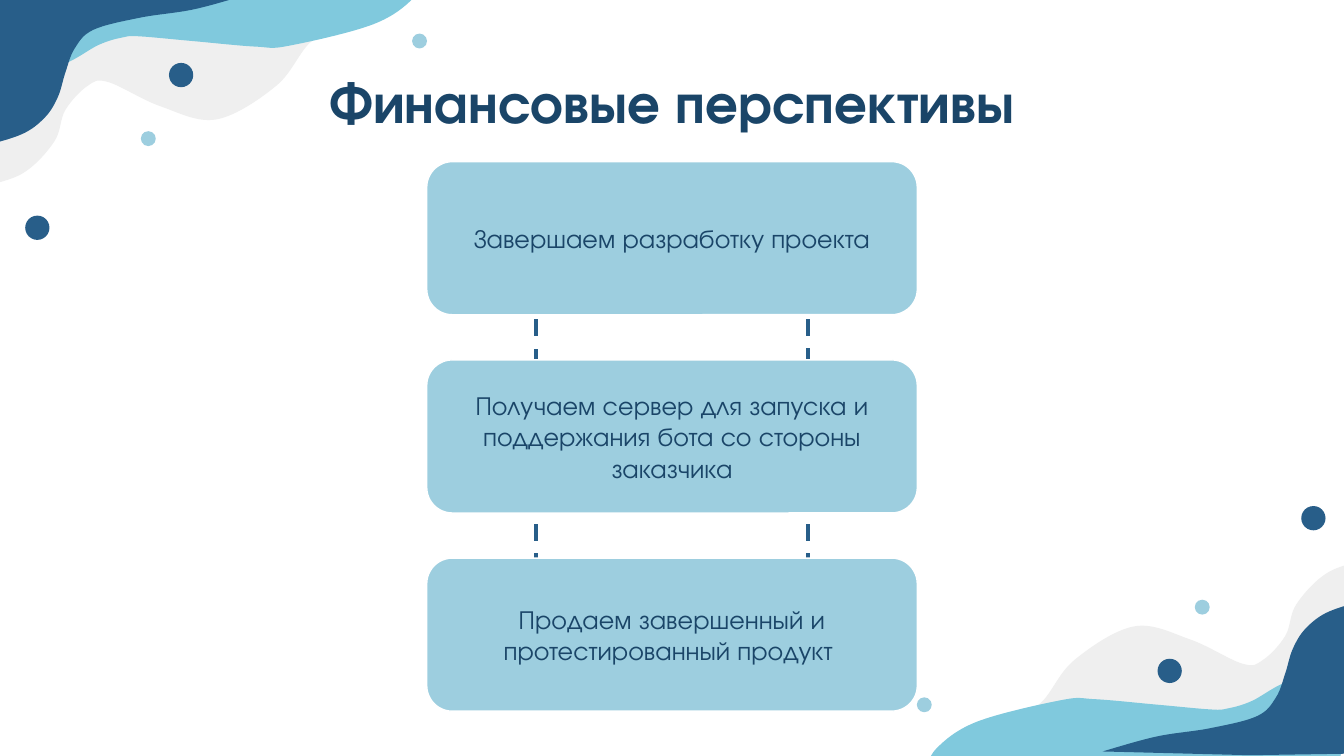
"""Build the financial outlook slide: three linked steps between wavy corners."""
from lxml.etree import SubElement
from pptx import Presentation
from pptx.dml.color import RGBColor
from pptx.enum.dml import MSO_LINE
from pptx.enum.shapes import MSO_CONNECTOR, MSO_SHAPE
from pptx.enum.text import MSO_ANCHOR, PP_ALIGN
from pptx.oxml.ns import qn
from pptx.util import Pt

NAVY = RGBColor(0x1A, 0x45, 0x68)
BLUE = RGBColor(0x28, 0x5E, 0x89)
TEAL = RGBColor(0x80, 0xC9, 0xDD)
SKY = RGBColor(0x9D, 0xCE, 0xDF)
GREY = RGBColor(0xEF, 0xEF, 0xEF)
WHITE = RGBColor(0xFF, 0xFF, 0xFF)

SLIDE_WIDTH, SLIDE_HEIGHT = 720, 405
TURN_X, TURN_Y = 723.6, 399.6

WAVES = [
    {"color": GREY,
     "crest": [(201, 8.5), (184, 13), (166, 23), (148, 46), (116, 64), (86, 57),
               (58, 44), (47, 46), (35, 59), (29, 76), (12, 93), (-13, 101)],
     "corners": [(-19, 14), (183, 6.5)]},
    {"color": TEAL,
     "crest": [(228, -15), (222, -1.5), (200, 13), (155, 24.5), (137, 25), (103, 22),
               (75, 19.5), (66, 20), (53, 24), (32, 35), (3, 38)],
     "corners": [(6, -17), (115, -21)]},
    {"color": BLUE,
     "crest": [(133, -3), (104, 5), (75, 9.5), (50, 16), (40, 26), (35, 39),
               (31, 52), (24, 63), (11.5, 72), (-10, 78), (-20, 76), (-23, 70)],
     "corners": [(-19, 45), (-11, -4), (54, -5)]},
]
DOTS = [
    {"color": BLUE, "size": 13, "center": (97, 40.2), "turn_x": TURN_X},
    {"color": BLUE, "size": 13, "center": (20, 122), "turn_x": TURN_X},
    {"color": SKY, "size": 8, "center": (79.5, 74.3), "turn_x": TURN_X},
    {"color": SKY, "size": 8, "center": (224.8, 22), "turn_x": SLIDE_WIDTH},
]

STEPS = [
    "Завершаем разработку проекта",
    "Получаем сервер для запуска и поддержания бота со стороны заказчика",
    "Продаем завершенный и протестированный продукт ",
]
STEP_WIDTH, STEP_HEIGHT, STEP_GAP = 262.8, 82, 24.2
STEP_LEFT = (SLIDE_WIDTH - STEP_WIDTH) / 2
FIRST_STEP_TOP = 86.6
LINK_OFFSET = 72.7
LINKS = [(-LINK_OFFSET, 321.1, 134.6), (LINK_OFFSET, 305.3, 115.9)]

TITLE_FONT = {"name": "TeX Gyre Adventor", "size": Pt(30), "bold": True}
STEP_FONT = {"name": "TeX Gyre Adventor", "size": Pt(14), "bold": False}


def paint(shape, color):
    shape.shadow.inherit = False
    shape.fill.solid()
    shape.fill.fore_color.rgb = color
    shape.line.fill.background()


def write(shape, text, anchor, font_format):
    frame = shape.text_frame
    frame_format = {"word_wrap": True, "vertical_anchor": anchor}
    frame_format.update({f"margin_{side}": Pt(7.2) for side in ("left", "top", "right", "bottom")})
    for name, value in frame_format.items():
        setattr(frame, name, value)
    paragraph = frame.paragraphs[0]
    paragraph.alignment = PP_ALIGN.CENTER
    run = paragraph.add_run()
    run.text = text
    for name, value in font_format.items():
        setattr(run.font, name, value)
    run.font.color.rgb = NAVY


presentation = Presentation()
presentation.slide_width = Pt(SLIDE_WIDTH)
presentation.slide_height = Pt(SLIDE_HEIGHT)
slide = presentation.slides.add_slide(presentation.slide_layouts[6])
shapes = slide.shapes

for turned in (True, False):
    for wave in WAVES:
        crest = wave["crest"]
        outline = [crest[0]]
        neighbours = zip(crest[:1] + crest, crest, crest[1:], crest[2:] + crest[-1:])
        for before, start, end, after in neighbours:
            leave = tuple(s + (e - b) / 6 for b, s, e in zip(before, start, end))
            arrive = tuple(e - (a - s) / 6 for s, e, a in zip(start, end, after))
            outline += [leave, arrive, end]
        curved_count = len(outline) - 1
        outline += wave["corners"]
        if turned:
            outline = [(TURN_X - x, TURN_Y - y) for x, y in outline]
        first_point, *other_points = [(Pt(x), Pt(y)) for x, y in outline]
        builder = shapes.build_freeform(*first_point)
        builder.add_line_segments(other_points, close=True)
        wave_shape = builder.convert_to_shape()
        paint(wave_shape, wave["color"])
        segments = list(wave_shape._element.iter(qn("a:lnTo")))[:curved_count]
        for curve, *extra_segments in zip(segments[::3], segments[1::3], segments[2::3]):
            curve.tag = qn("a:cubicBezTo")
            for segment in extra_segments:
                curve.append(segment[0])
                segment.getparent().remove(segment)

    for dot in DOTS:
        x, y = dot["center"]
        if turned:
            x, y = dot["turn_x"] - x, TURN_Y - y
        size = dot["size"]
        oval = shapes.add_shape(
            MSO_SHAPE.OVAL, Pt(x - size / 2), Pt(y - size / 2), Pt(size), Pt(size))
        paint(oval, dot["color"])

for offset, start_y, end_y in LINKS:
    x = SLIDE_WIDTH / 2 + offset
    link = shapes.add_connector(MSO_CONNECTOR.STRAIGHT, Pt(x), Pt(start_y), Pt(x), Pt(end_y))
    link.line.color.rgb = BLUE
    link.line.width = Pt(2.25)
    link.line.dash_style = MSO_LINE.DASH
    SubElement(link._element.spPr, qn("a:effectLst"))

title = shapes.add_textbox(Pt(42.5), Pt(28.8), Pt(635), Pt(45.4))
write(title, "Финансовые перспективы", MSO_ANCHOR.TOP, TITLE_FONT)

for index, text in enumerate(STEPS):
    top = FIRST_STEP_TOP + index * (STEP_HEIGHT + STEP_GAP)
    step = shapes.add_shape(
        MSO_SHAPE.ROUNDED_RECTANGLE, Pt(STEP_LEFT), Pt(top), Pt(STEP_WIDTH), Pt(STEP_HEIGHT))
    step.adjustments[0] = 0.167
    paint(step, SKY)
    step.line.color.rgb = WHITE
    step.line.width = Pt(0.75)
    write(step, text, MSO_ANCHOR.MIDDLE, STEP_FONT)

presentation.save("out.pptx")
